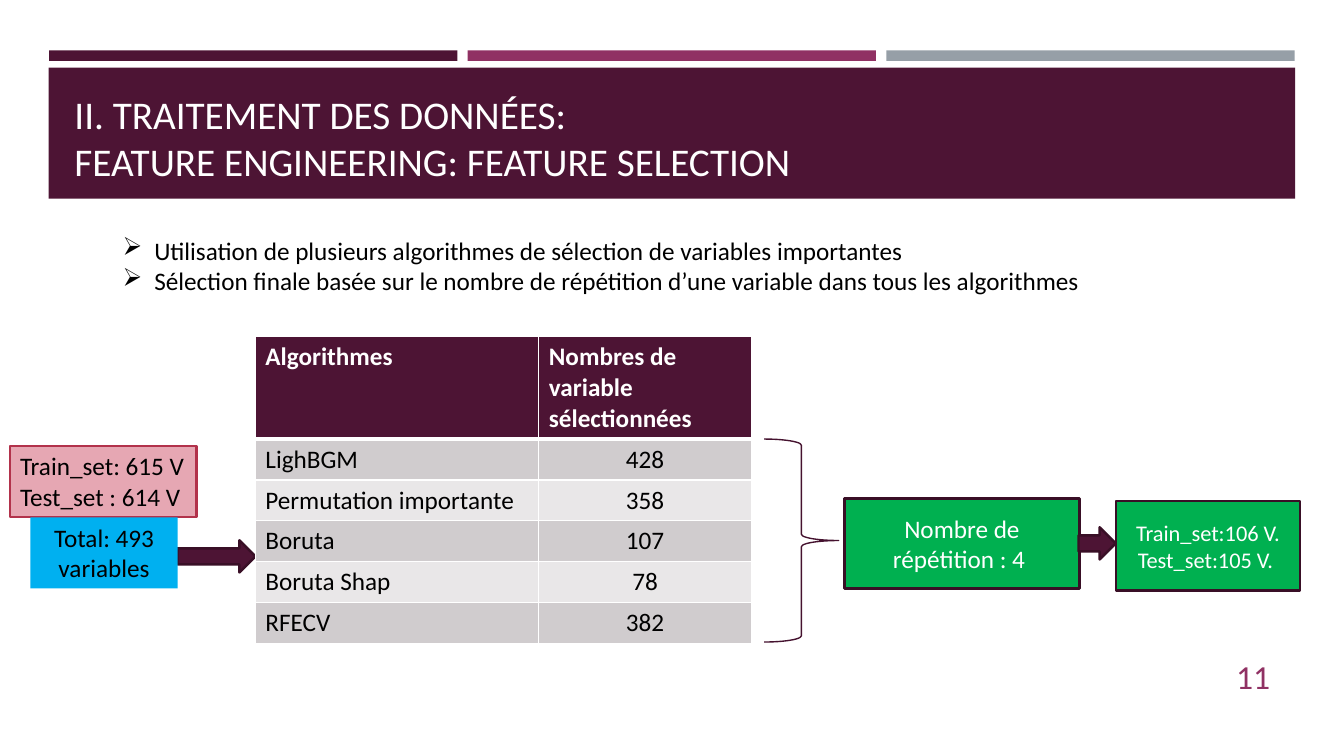
"""Build the feature selection slide."""
from dataclasses import dataclass
from typing import Optional

from lxml import etree
from pptx import Presentation
from pptx import util as u
from pptx.dml.color import RGBColor
from pptx.enum import shapes, text
from pptx.oxml import ns

FONT = "Calibri"
PLUM = RGBColor(0x4D, 0x14, 0x34)
DARK_PLUM = RGBColor(0x39, 0x0F, 0x26)
BRACE_PLUM = RGBColor(0x45, 0x12, 0x2F)
MAGENTA = RGBColor(0x90, 0x31, 0x63)
GREY = RGBColor(0x96, 0x9F, 0xA7)
PINK = RGBColor(0xE6, 0xA7, 0xB3)
RED = RGBColor(0xB2, 0x32, 0x4B)
GREEN = RGBColor(0x00, 0xB0, 0x50)
BLUE = RGBColor(0x00, 0xB0, 0xF0)
DARK_BAND = RGBColor(0xD0, 0xCC, 0xCE)
LIGHT_BAND = RGBColor(0xE9, 0xE7, 0xE8)
WHITE = RGBColor(0xFF, 0xFF, 0xFF)
BLACK = RGBColor(0x00, 0x00, 0x00)

RECTANGLE = shapes.MSO_SHAPE.RECTANGLE
ARROW = shapes.MSO_SHAPE.RIGHT_ARROW
BRACE = shapes.MSO_SHAPE.RIGHT_BRACE
LEFT, CENTER, RIGHT = text.PP_ALIGN.LEFT, text.PP_ALIGN.CENTER, text.PP_ALIGN.RIGHT
TOP, MIDDLE, BOTTOM = (text.MSO_ANCHOR.TOP, text.MSO_ANCHOR.MIDDLE,
                       text.MSO_ANCHOR.BOTTOM)


@dataclass(frozen=True)
class Frame:
    """Position and size in points."""
    left: float
    top: float
    width: float
    height: float

    def lengths(self) -> tuple:
        """Return the four values as lengths."""
        return tuple(u.Pt(value) for value in
                     (self.left, self.top, self.width, self.height))


@dataclass(frozen=True)
class Label:
    """Text with its formatting."""
    content: str
    size: float = 18
    color: RGBColor = BLACK
    align: text.PP_ALIGN = LEFT
    anchor: text.MSO_ANCHOR = TOP
    bold: bool = False
    bullet: Optional[str] = None


@dataclass(frozen=True)
class Block:
    """A preset shape with optional fill, line and label."""
    frame: Frame
    fill: Optional[RGBColor] = None
    line: Optional[RGBColor] = None
    line_width: float = 1.75
    kind: shapes.MSO_SHAPE = RECTANGLE
    label: Optional[Label] = None


BAR_WIDTH, BAR_STEP = 291.6, 299
BARS = [Block(Frame(35.1 + BAR_STEP * index, 36, BAR_WIDTH, 7.6), color)
        for index, color in enumerate((PLUM, MAGENTA, GREY))]
BANNER = Block(Frame(34.8, 48.4, 890.3, 93.5), PLUM)
BLOCKS = [
    Block(Frame(7.2, 318.4, 133.2, 51.1), PINK, RED,
          label=Label("Train_set: 615 V\nTest_set : 614 V")),
    Block(Frame(545.8, 313.6, 53.3, 145), None, BRACE_PLUM, 1, BRACE),
    Block(Frame(603.2, 356.2, 167.8, 64.1), GREEN, DARK_PLUM,
          label=Label("Nombre de répétition : 4 ", 18, WHITE, CENTER, MIDDLE)),
    Block(Frame(126.7, 385.9, 55.8, 23), PLUM, DARK_PLUM, kind=ARROW),
    Block(Frame(21.8, 369.5, 105.1, 50.9), BLUE,
          label=Label("Total: 493 variables", align=CENTER)),
    Block(Frame(770.4, 376.6, 26.6, 23), PLUM, DARK_PLUM, kind=ARROW),
    Block(Frame(797, 357.8, 131.8, 64.1), GREEN, DARK_PLUM,
          label=Label("Train_set:106 V.\nTest_set:105 V. ", 16, WHITE, CENTER, MIDDLE)),
]
TEXTS = [
    (Frame(46.1, 55.4, 868.3, 79.9),
     Label("II. TRAITEMENT DES DONNÉES:\vFEATURE ENGINEERING: FEATURE SELECTION",
           28, WHITE, anchor=BOTTOM)),
    (Frame(80.6, 164.2, 802, 50.9),
     Label("Utilisation de plusieurs algorithmes de sélection de variables importantes\n"
           "Sélection finale basée sur le nombre de répétition d’une variable "
           "dans tous les algorithmes", bullet="➢")),
    (Frame(831.6, 468.7, 82.8, 28.8), Label("11", 24, MAGENTA, RIGHT, MIDDLE)),
]
TABLE_FRAME = Frame(182.4, 240.5, 354.3, 218)
COLUMN_WIDTHS = (202.5, 151.8)
HEADER_HEIGHT, ROW_HEIGHT = 72, 29.2
ROWS = [
    ("Algorithmes", "Nombres de variable sélectionnées"),
    ("LighBGM", "428"),
    ("Permutation importante", "358"),
    ("Boruta", "107"),
    ("Boruta Shap", "78"),
    ("RFECV", "382"),
]


def add_bullet(paragraph, character: str) -> None:
    """Give a paragraph a hanging bullet."""
    properties = paragraph._p.get_or_add_pPr()
    properties.set("marL", str(u.Pt(22.5)))
    properties.set("indent", str(-u.Pt(22.5)))
    etree.SubElement(properties, ns.qn("a:buChar")).set("char", character)


def write_label(text_frame, label: Label) -> None:
    """Fill a text frame and format its runs."""
    text_frame.text = label.content
    text_frame.word_wrap = True
    text_frame.vertical_anchor = label.anchor
    for paragraph in text_frame.paragraphs:
        paragraph.alignment = label.align
        if label.bullet:
            add_bullet(paragraph, label.bullet)
        for run in paragraph.runs:
            run.font.name = FONT
            run.font.size = u.Pt(label.size)
            run.font.bold = label.bold
            run.font.color.rgb = label.color


def add_block(slide, block: Block) -> None:
    """Draw one preset shape."""
    shape = slide.shapes.add_shape(block.kind, *block.frame.lengths())
    shape.shadow.inherit = False
    if block.fill is None:
        shape.fill.background()
    else:
        shape.fill.solid()
        shape.fill.fore_color.rgb = block.fill
    if block.line is None:
        shape.line.fill.background()
    else:
        shape.line.color.rgb = block.line
        shape.line.width = u.Pt(block.line_width)
    if block.label:
        write_label(shape.text_frame, block.label)


def add_borders(cell, widths: dict) -> None:
    """Draw white borders of the given widths around a cell."""
    properties = cell._tc.get_or_add_tcPr()
    for side, width in widths.items():
        line = etree.SubElement(properties, ns.qn(f"a:ln{side}"), w=str(u.Pt(width)))
        fill = etree.SubElement(line, ns.qn("a:solidFill"))
        etree.SubElement(fill, ns.qn("a:srgbClr"), val=str(WHITE))


def add_algorithm_table(slide) -> None:
    """Draw the table of algorithms and selected variable counts."""
    table = slide.shapes.add_table(len(ROWS), len(COLUMN_WIDTHS),
                                   *TABLE_FRAME.lengths()).table
    table.horz_banding = False
    for column, width in zip(table.columns, COLUMN_WIDTHS):
        column.width = u.Pt(width)
    for row_index, values in enumerate(ROWS):
        header = row_index == 0
        table.rows[row_index].height = u.Pt(HEADER_HEIGHT if header else ROW_HEIGHT)
        band = PLUM if header else DARK_BAND if row_index % 2 else LIGHT_BAND
        borders = {"L": 1, "R": 1, "T": 3 if row_index == 1 else 1, "B": 3 if header else 1}
        for column_index, value in enumerate(values):
            cell = table.cell(row_index, column_index)
            align = CENTER if column_index and not header else LEFT
            write_label(cell.text_frame, Label(value, color=WHITE if header else BLACK,
                                               align=align, bold=header))
            add_borders(cell, borders)
            cell.fill.solid()
            cell.fill.fore_color.rgb = band


def main() -> None:
    """Assemble and save the slide."""
    presentation = Presentation()
    presentation.slide_width, presentation.slide_height = u.Pt(960), u.Pt(540)
    slide = presentation.slides.add_slide(presentation.slide_layouts[6])
    for block in [*BARS, BANNER, *BLOCKS]:
        add_block(slide, block)
    add_algorithm_table(slide)
    for frame, label in TEXTS:
        write_label(slide.shapes.add_textbox(*frame.lengths()).text_frame, label)
    presentation.save("out.pptx")


if __name__ == "__main__":
    main()
